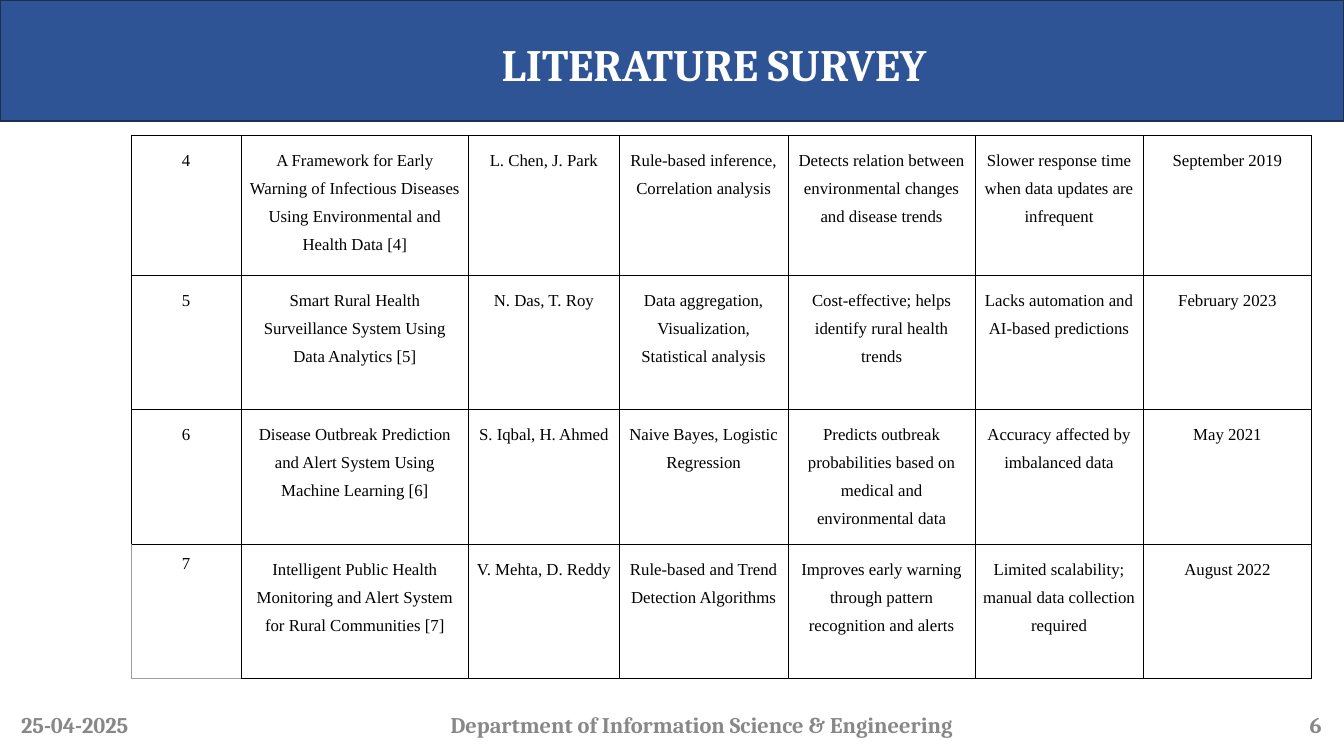
"""Build the literature survey slide."""
from lxml import etree
from pptx import Presentation
from pptx.dml.color import RGBColor
from pptx.enum.shapes import MSO_SHAPE
from pptx.enum.text import MSO_ANCHOR, MSO_AUTO_SIZE, PP_ALIGN
from pptx.oxml.ns import qn
from pptx.util import Inches, Pt

RECTANGLE = MSO_SHAPE.RECTANGLE
CENTER, LEFT = PP_ALIGN.CENTER, PP_ALIGN.LEFT
TOP = MSO_ANCHOR.TOP
NO_AUTOFIT = MSO_AUTO_SIZE.NONE
TITLE_ONLY_LAYOUT = 5

COLORS = {
    "banner": "2F5496",
    "banner_line": "1B3052",
    "title": "FFFFFF",
    "footer": "888888",
    "text": "000000",
    "border": "000000",
    "light_border": "9E9E9E",
}
HEADING_FONT, TABLE_FONT = "Cambria", "Times New Roman"

COLUMN_WIDTHS = [1.09, 2.26, 1.49, 1.68, 1.85, 1.67, 1.67]
ROW_HEIGHTS = [1.39, 1.33, 1.34, 1.33]
SURVEY = [
    ["4", "A Framework for Early Warning of Infectious Diseases Using Environmental and Health Data [4]",
     "L. Chen, J. Park", "Rule-based inference, Correlation analysis",
     "Detects relation between environmental changes and disease trends",
     "Slower response time when data updates are infrequent", "September 2019"],
    ["5", "Smart Rural Health Surveillance System Using Data Analytics [5]",
     "N. Das, T. Roy", "Data aggregation, Visualization, Statistical analysis",
     "Cost-effective; helps identify rural health trends",
     "Lacks automation and AI-based predictions", "February 2023"],
    ["6", "Disease Outbreak Prediction and Alert System Using Machine Learning [6]",
     "S. Iqbal, H. Ahmed", "Naive Bayes, Logistic Regression",
     "Predicts outbreak probabilities based on medical and environmental data",
     "Accuracy affected by imbalanced data", "May 2021"],
    ["7", "Intelligent Public Health Monitoring and Alert System for Rural Communities [7]",
     "V. Mehta, D. Reddy", "Rule-based and Trend Detection Algorithms",
     "Improves early warning through pattern recognition and alerts",
     "Limited scalability; manual data collection required", "August 2022"],
]
FOOTERS = [
    ("25-04-2025", 0.21, 1.3),
    ("Department of Information Science & Engineering", 4.47, 5.12),
    ("6", 12.99, 0.23),
]


def color(name):
    """Return the named colour."""
    return RGBColor.from_string(COLORS[name])


def set_margins(frame, margin):
    """Give a text frame or cell the same margin on every side."""
    frame.margin_left = frame.margin_right = Inches(margin)
    frame.margin_top = frame.margin_bottom = Inches(margin)


def write(text_frame, text, font, size, color_name, alignment, spacing=1.0, bold=False):
    """Write one formatted run into the first paragraph."""
    paragraph = text_frame.paragraphs[0]
    paragraph.alignment = alignment
    paragraph.line_spacing = spacing
    run = paragraph.add_run()
    run.text = text
    run.font.name = font
    run.font.size = Pt(size)
    run.font.bold = bold
    run.font.color.rgb = color(color_name)


def add_banner(slide):
    """Add the blue band across the top."""
    banner = slide.shapes.add_shape(RECTANGLE, 0, 0, Inches(13.33), Inches(1.2))
    banner.shadow.inherit = False
    banner.fill.solid()
    banner.fill.fore_color.rgb = color("banner")
    banner.line.color.rgb = color("banner_line")
    banner.line.width = Pt(1)


def place_title(slide, text):
    """Format the title placeholder and raise it above the banner."""
    title = slide.shapes.title
    title.left, title.top = Inches(1.48), Inches(0.36)
    title.width, title.height = Inches(11.21), Inches(0.54)
    frame = title.text_frame
    frame.auto_size = NO_AUTOFIT
    frame.vertical_anchor = TOP
    set_margins(frame, 0)
    write(frame, text, HEADING_FONT, 32, "title", CENTER, bold=True)
    title.element.getparent().append(title.element)


def add_footer(slide, text, left, width):
    """Add one footer text box."""
    box = slide.shapes.add_textbox(Inches(left), Inches(7.04), Inches(width), Inches(0.25))
    frame = box.text_frame
    frame.word_wrap = True
    set_margins(frame, 0)
    write(frame, text, HEADING_FONT, 16, "footer", LEFT, 1.04, True)


def set_borders(cell, light_sides):
    """Draw the four cell borders, with lighter lines on the given sides."""
    properties = cell._tc.get_or_add_tcPr()
    for position, side in enumerate("LRTB"):
        light = side in light_sides
        line = etree.Element(qn(f"a:ln{side}"), w=str(Pt(0.75 if light else 0.5)))
        fill = etree.SubElement(line, qn("a:solidFill"))
        name = "light_border" if light else "border"
        etree.SubElement(fill, qn("a:srgbClr"), val=COLORS[name])
        properties.insert(position, line)


def add_survey_table(slide):
    """Add the table of surveyed papers."""
    frame = slide.shapes.add_table(
        len(SURVEY), len(COLUMN_WIDTHS), Inches(1.3), Inches(1.34),
        Inches(sum(COLUMN_WIDTHS)), Inches(sum(ROW_HEIGHTS)))
    table = frame.table
    table.first_row = table.horz_banding = False
    for column, width in zip(table.columns, COLUMN_WIDTHS):
        column.width = Inches(width)
    for row, height, texts in zip(table.rows, ROW_HEIGHTS, SURVEY):
        row.height = Inches(height)
        for cell, text in zip(row.cells, texts):
            is_last_number = text == "7"
            cell.fill.background()
            cell.vertical_anchor = TOP
            set_margins(cell, 0.1 if is_last_number else 0.07)
            write(cell.text_frame, text, TABLE_FONT, 12, "text", CENTER,
                  1.0 if is_last_number else 1.5)
            set_borders(cell, "LB" if is_last_number else "")


def main():
    """Build and save the slide."""
    presentation = Presentation()
    presentation.slide_width, presentation.slide_height = Inches(13.33), Inches(7.5)
    slide = presentation.slides.add_slide(presentation.slide_layouts[TITLE_ONLY_LAYOUT])
    add_banner(slide)
    place_title(slide, "LITERATURE SURVEY")
    for text, left, width in FOOTERS:
        add_footer(slide, text, left, width)
    add_survey_table(slide)
    presentation.save("out.pptx")


if __name__ == "__main__":
    main()
